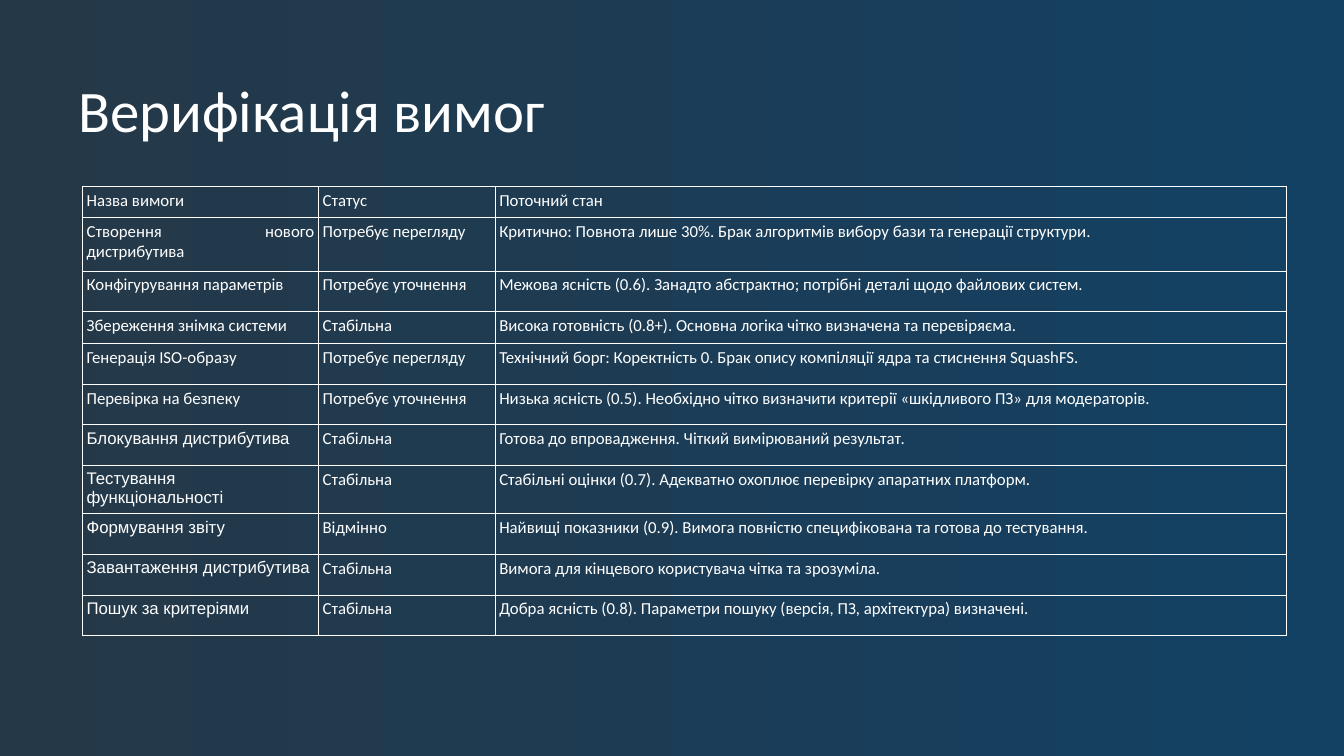
"""Build the requirements verification slide with its status table."""
from dataclasses import dataclass

from lxml import etree
from pptx import Presentation, util as u
from pptx.dml.color import RGBColor
from pptx.enum import text
from pptx.oxml import ns

COLORS = {"start": "253848", "end": "134163", "ink": "FFFFFF"}
COLUMN_WIDTHS = (168.6, 126.2, 565.4)
INSET = 2.88
BORDER = 0.57


@dataclass
class Requirement:
    name: str
    status: str
    state: str
    height: float = 29
    spaced: tuple[int, ...] = ()
    left: tuple[int, ...] = ()
    name_font: str = "Calibri"


def plain(name: str, status: str, state: str) -> Requirement:
    return Requirement(name, status, state, left=(0,), name_font="Arial")


REQUIREMENTS = (
    Requirement("Назва вимоги", "Статус", "Поточний стан", 22.1, (2,), (1,)),
    Requirement("Створення нового дистрибутива", "Потребує перегляду",
                "Критично: Повнота лише 30%. Брак алгоритмів вибору бази та генерації структури.",
                38.4, (0, 1, 2)),
    Requirement("Конфігурування параметрів", "Потребує уточнення",
                "Межова ясність (0.6). Занадто абстрактно; потрібні деталі щодо файлових систем.",
                spaced=(0, 2)),
    Requirement("Збереження знімка системи", "Стабільна",
                "Висока готовність (0.8+). Основна логіка чітко визначена та перевіряєма.",
                22.9, (2,)),
    Requirement("Генерація ISO-образу", "Потребує перегляду",
                "Технічний борг: Коректність 0. Брак опису компіляції ядра та стиснення SquashFS."),
    Requirement("Перевірка на безпеку", "Потребує уточнення",
                "Низька ясність (0.5). Необхідно чітко визначити критерії «шкідливого ПЗ» для модераторів."),
    plain("Блокування дистрибутива", "Стабільна",
          "Готова до впровадження. Чіткий вимірюваний результат."),
    plain("Тестування функціональності", "Стабільна",
          "Стабільні оцінки (0.7). Адекватно охоплює перевірку апаратних платформ."),
    plain("Формування звіту", "Відмінно",
          "Найвищі показники (0.9). Вимога повністю специфікована та готова до тестування."),
    plain("Завантаження дистрибутива", "Стабільна",
          "Вимога для кінцевого користувача чітка та зрозуміла."),
    plain("Пошук за критеріями", "Стабільна",
          "Добра ясність (0.8). Параметри пошуку (версія, ПЗ, архітектура) визначені."),
)


def write(frame, words: str, *, size: float, font: str = "Calibri", align=None,
          before: float | None = None, after: float | None = None,
          line: float | None = None) -> None:
    para = frame.paragraphs[0]
    para.alignment = align
    para.line_spacing = line
    if before is not None:
        para.space_before = u.Pt(before)
    if after is not None:
        para.space_after = u.Pt(after)
    span = para.add_run()
    span.text = words
    span.font.size = u.Pt(size)
    span.font.name = font
    span.font.color.rgb = RGBColor.from_string(COLORS["ink"])


def style_cell(cell) -> None:
    cell.margin_left = cell.margin_right = u.Pt(INSET)
    cell.margin_top = cell.margin_bottom = u.Pt(INSET)
    cell.fill.background()
    properties = cell._tc.get_or_add_tcPr()
    for index, side in enumerate(("lnL", "lnR", "lnT", "lnB")):
        edge = etree.Element(ns.qn(f"a:{side}"), w=str(u.Pt(BORDER)))
        fill = etree.SubElement(edge, ns.qn("a:solidFill"))
        etree.SubElement(fill, ns.qn("a:srgbClr"), val=COLORS["ink"])
        properties.insert(index, edge)


def paint_background(page) -> None:
    fill = page.background.fill
    fill.gradient()
    fill.gradient_angle = 0
    for stop, name in zip(fill.gradient_stops, ("start", "end")):
        stop.color.rgb = RGBColor.from_string(COLORS[name])


def add_title(page, words: str) -> None:
    box = page.shapes.add_textbox(u.Pt(49), u.Pt(28.8), u.Pt(883.4), u.Pt(104.4))
    box.text_frame.word_wrap = True
    box.text_frame.vertical_anchor = text.MSO_ANCHOR.MIDDLE
    write(box.text_frame, words, size=42, line=0.9)


def add_requirements(page, requirements: tuple[Requirement, ...]) -> None:
    box = page.shapes.add_table(
        len(requirements), len(COLUMN_WIDTHS), u.Pt(59), u.Pt(133.1),
        u.Pt(sum(COLUMN_WIDTHS)), u.Pt(sum(item.height for item in requirements)))
    table = box.table
    table.first_row = table.horz_banding = False
    for column, width in zip(table.columns, COLUMN_WIDTHS):
        column.width = u.Pt(width)
    for row, item in zip(table.rows, requirements):
        row.height = u.Pt(item.height)
        for index, words in enumerate((item.name, item.status, item.state)):
            cell = row.cells[index]
            style_cell(cell)
            spaced = index in item.spaced
            write(cell.text_frame, words, size=12,
                  font=item.name_font if index == 0 else "Calibri",
                  align=text.PP_ALIGN.LEFT if index in item.left else text.PP_ALIGN.JUSTIFY,
                  before=11.9 if spaced else None, after=9.9 if spaced else None)


def main() -> None:
    deck = Presentation()
    deck.slide_width, deck.slide_height = u.Pt(960), u.Pt(540)
    page = deck.slides.add_slide(deck.slide_layouts[6])
    paint_background(page)
    add_title(page, "Верифікація вимог")
    add_requirements(page, REQUIREMENTS)
    deck.save("out.pptx")


if __name__ == "__main__":
    main()
